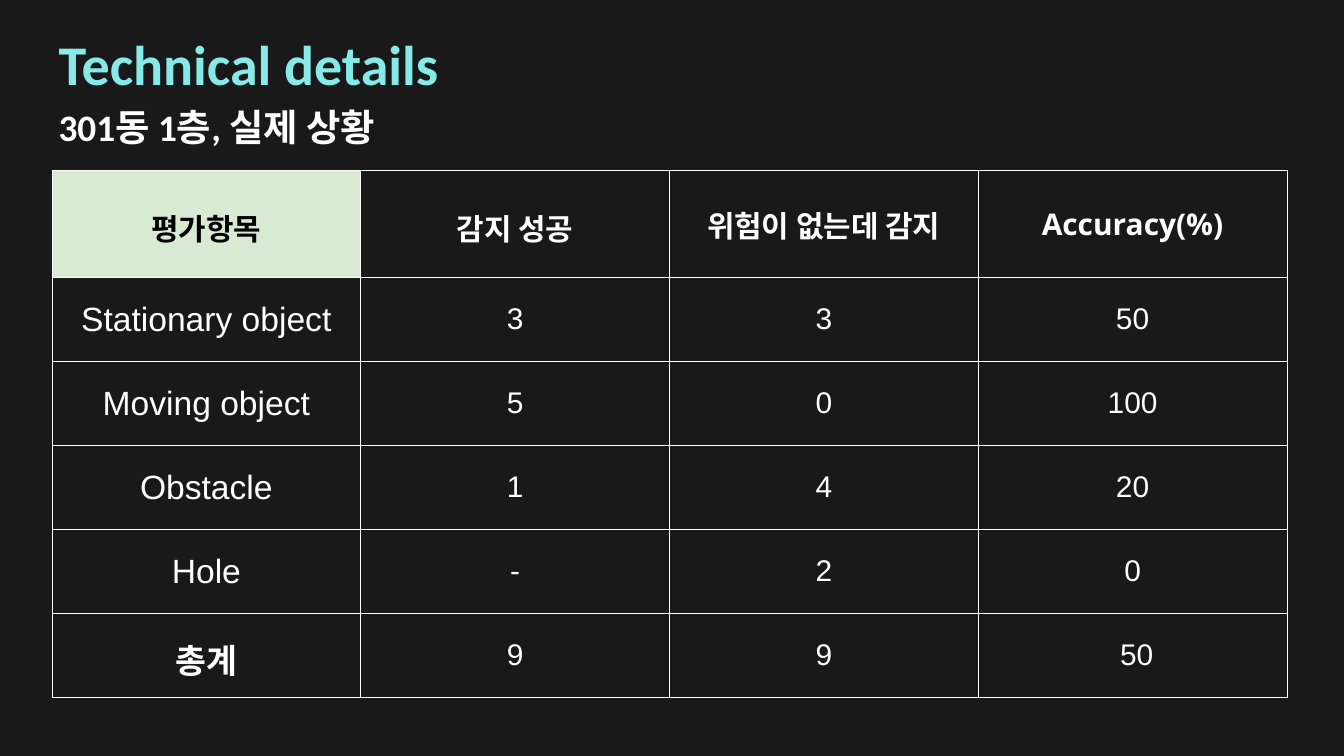
"""Build the technical details slide with its accuracy table."""
from lxml.etree import SubElement
from pptx import Presentation
from pptx.dml.color import RGBColor as Rgb
from pptx.enum.text import MSO_ANCHOR as Anchor, MSO_AUTO_SIZE as Fit, PP_ALIGN as Align
from pptx.oxml.ns import qn
from pptx.util import Pt

DARK = Rgb(0x19, 0x19, 0x19)
AQUA = Rgb(0x86, 0xEA, 0xE9)
MINT = Rgb(0xD9, 0xEA, 0xD3)
WHITE = Rgb(0xFF, 0xFF, 0xFF)
BLACK = Rgb(0, 0, 0)

TITLE = "Technical details"
PLACE = "301동 1층, 실제 상황"
ROWS = [
    ("평가항목", "감지 성공", "위험이 없는데 감지", "Accuracy(%)"),
    ("Stationary object", "3", "3", "50"),
    ("Moving object", "5", "0", "100"),
    ("Obstacle", "1", "4", "20"),
    ("Hole", "-", "2", "0"),
    ("총계", "9", "9", " 50"),
]
NOTO = {"평가항목", "감지 성공", "Accuracy(%)", "총계"}
LOOSE = NOTO - {"Accuracy(%)"}
WIDTH, HEAD, ROW = 1235, 107, 84
LAST = len(ROWS) - 1


def px(num):
    return round(num * 914400 / 67.2)


def style(para, name, size, color, bold):
    font = para.font
    font.name, font.size, font.bold = name, Pt(size), bold
    font.color.rgb = color


def label(shape, text, box, size, color):
    shape.left, shape.top, shape.width, shape.height = map(px, box)
    frame = shape.text_frame
    frame.text = text
    frame.word_wrap = True
    frame.auto_size = Fit.SHAPE_TO_FIT_TEXT
    frame.vertical_anchor = Anchor.TOP
    para = frame.paragraphs[0]
    para.alignment = Align.LEFT
    style(para, "Calibri", size, color, True)


def border(cell):
    props = cell._tc.get_or_add_tcPr()
    for side in ("lnL", "lnR", "lnT", "lnB"):
        line = SubElement(props, qn("a:" + side), w=str(Pt(0.75)))
        fill = SubElement(line, qn("a:solidFill"))
        SubElement(fill, qn("a:srgbClr"), val=str(WHITE))


def fill_cell(cell, text, row, col):
    first = row == col == 0
    border(cell)
    if first:
        cell.fill.solid()
        cell.fill.fore_color.rgb = MINT
    else:
        cell.fill.background()
    wide = row == LAST and col > 0
    cell.margin_left = cell.margin_right = px(7 if wide else 2)
    cell.margin_top = cell.margin_bottom = px(7 if wide else 1)
    cell.vertical_anchor = Anchor.MIDDLE
    cell.text = text
    para = cell.text_frame.paragraphs[0]
    para.alignment = Align.CENTER
    if text in LOOSE:
        para.line_spacing = 1.15
    style(para, "Noto Sans" if text in NOTO else "Arial",
          36 if row and not col else 32,
          BLACK if first else WHITE, row == 0 or text in NOTO)


def main():
    deck = Presentation()
    deck.slide_width, deck.slide_height = px(1344), px(756)
    slide = deck.slides.add_slide(deck.slide_layouts[5])
    slide.background.fill.solid()
    slide.background.fill.fore_color.rgb = DARK
    label(slide.shapes.title, TITLE, (52, 26, 690, 75), 60, AQUA)
    place = slide.shapes.add_textbox(0, 0, 0, 0)
    label(place, PLACE, (52, 101, 576, 52), 40, WHITE)

    count = len(ROWS[0])
    frame = slide.shapes.add_table(len(ROWS), count, px(52), px(170.5),
                                   px(WIDTH), px(HEAD + LAST * ROW))
    table = frame.table
    table.first_row = table.horz_banding = False
    for col in table.columns:
        col.width = px(WIDTH / count)
    for i, texts in enumerate(ROWS):
        table.rows[i].height = px(ROW if i else HEAD)
        for j, text in enumerate(texts):
            fill_cell(table.cell(i, j), text, i, j)
    deck.save("out.pptx")


if __name__ == "__main__":
    main()
